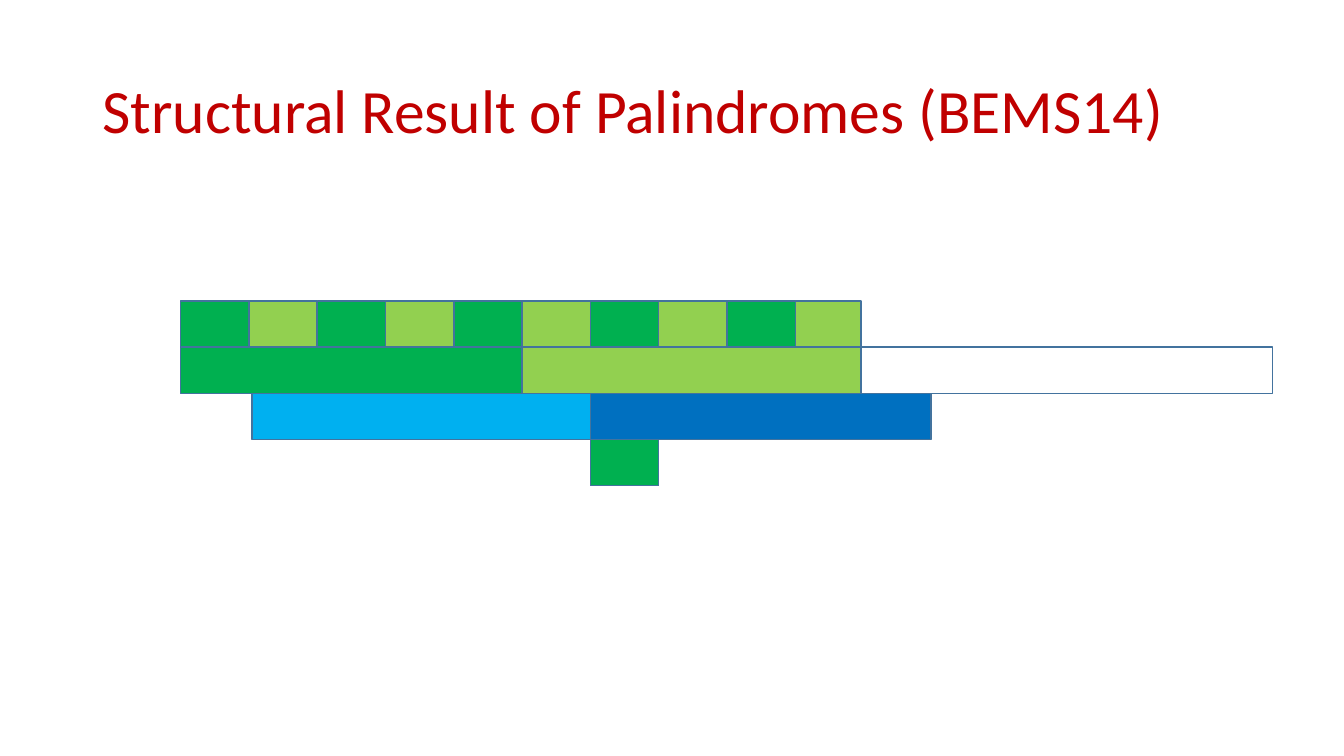
from dataclasses import dataclass

from pptx import Presentation
from pptx.dml.color import RGBColor
from pptx.enum.shapes import MSO_SHAPE
from pptx.enum.text import MSO_ANCHOR, MSO_AUTO_SIZE, PP_ALIGN
from pptx.slide import Slide
from pptx.util import Pt

RECT = MSO_SHAPE.RECTANGLE
MIDDLE = MSO_ANCHOR.MIDDLE
NO_FIT = MSO_AUTO_SIZE.NONE
LEFT = PP_ALIGN.LEFT

RED = RGBColor(0xC0, 0x00, 0x00)
GREEN = RGBColor(0x00, 0xB0, 0x50)
LIME = RGBColor(0x92, 0xD0, 0x50)
SKY = RGBColor(0x00, 0xB0, 0xF0)
BLUE = RGBColor(0x00, 0x70, 0xC0)
WHITE = RGBColor(0xFF, 0xFF, 0xFF)
OUTLINE = RGBColor(0x43, 0x73, 0x9E)

ROW_TOP = 215
ROW_HEIGHT = 33
START = 129
PERIOD = 48.8
CELLS = 10
HALF = START + 5 * PERIOD
CENTRE = START + 6 * PERIOD
END = 615


@dataclass(frozen=True)
class Bar:
    row: int
    left: float
    right: float
    color: RGBColor


def periodic_cells() -> list[Bar]:
    edges = [START + i * PERIOD for i in range(CELLS)] + [END]
    return [
        Bar(0, edges[i], edges[i + 1], LIME if i % 2 else GREEN)
        for i in range(CELLS)
    ]


BARS = [
    Bar(1, START, HALF, GREEN),
    Bar(2, 180, CENTRE, SKY),
    Bar(1, END, 909, WHITE),
    Bar(1, HALF, END, LIME),
    Bar(2, CENTRE, 665, BLUE),
    Bar(3, CENTRE, CENTRE + PERIOD, GREEN),
    *periodic_cells(),
]


def add_title(s: Slide, text: str) -> None:
    title = s.shapes.title
    box = {"left": Pt(66), "top": Pt(29), "width": Pt(828), "height": Pt(104.4)}
    for name, value in box.items():
        setattr(title, name, value)
    tf = title.text_frame
    frame = {"vertical_anchor": MIDDLE, "word_wrap": True, "auto_size": NO_FIT}
    for name, value in frame.items():
        setattr(tf, name, value)
    p = tf.paragraphs[0]
    p.alignment = LEFT
    p.line_spacing = 0.9
    r = p.add_run()
    r.text = text
    for name, value in {"name": "Calibri", "size": Pt(44)}.items():
        setattr(r.font, name, value)
    r.font.color.rgb = RED


def add_bar(s: Slide, bar: Bar) -> None:
    sp = s.shapes.add_shape(
        RECT,
        Pt(bar.left),
        Pt(ROW_TOP + bar.row * ROW_HEIGHT),
        Pt(bar.right - bar.left),
        Pt(ROW_HEIGHT),
    )
    sp.shadow.inherit = False
    sp.fill.solid()
    sp.fill.fore_color.rgb = bar.color
    sp.line.color.rgb = OUTLINE
    sp.line.width = Pt(1)


def main() -> None:
    prs = Presentation()
    prs.slide_width, prs.slide_height = Pt(960), Pt(540)
    s = prs.slides.add_slide(prs.slide_layouts.get_by_name("Title Only"))
    add_title(s, "Structural Result of Palindromes (BEMS14)")
    for bar in BARS:
        add_bar(s, bar)
    prs.save("out.pptx")


if __name__ == "__main__":
    main()
